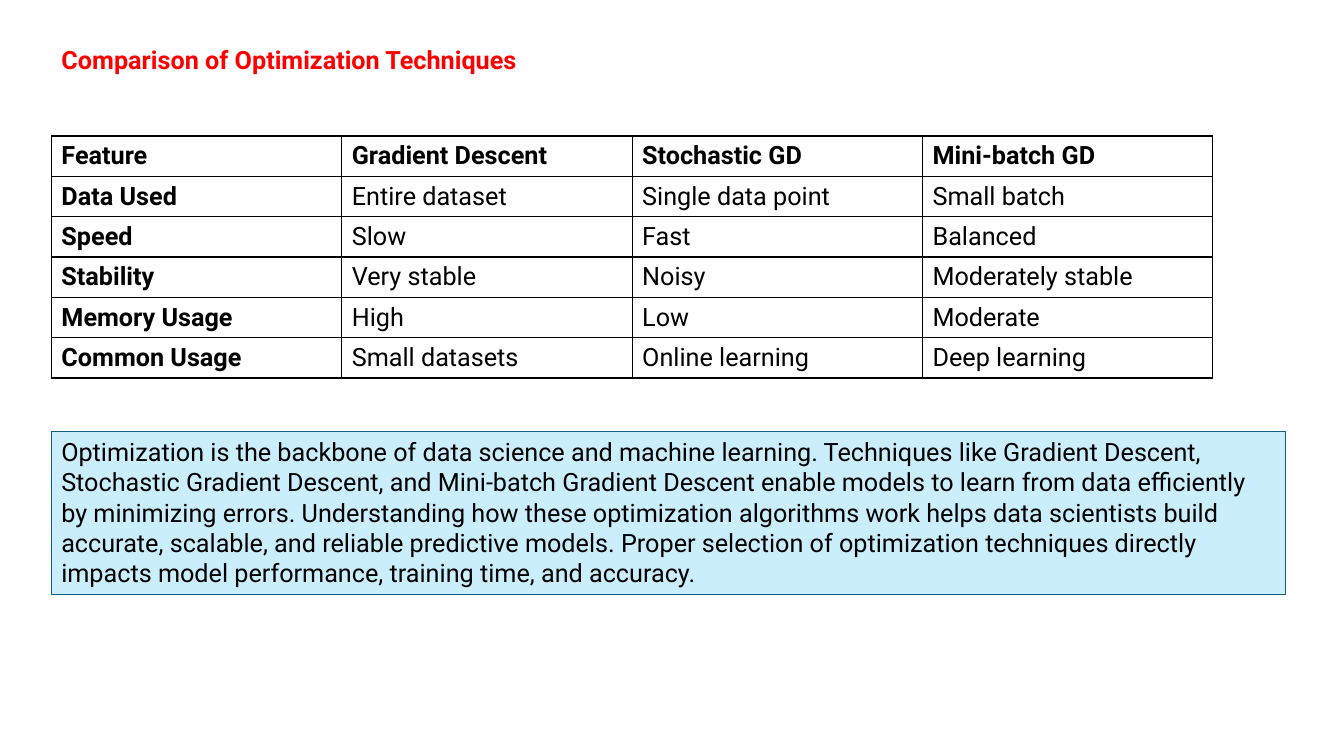
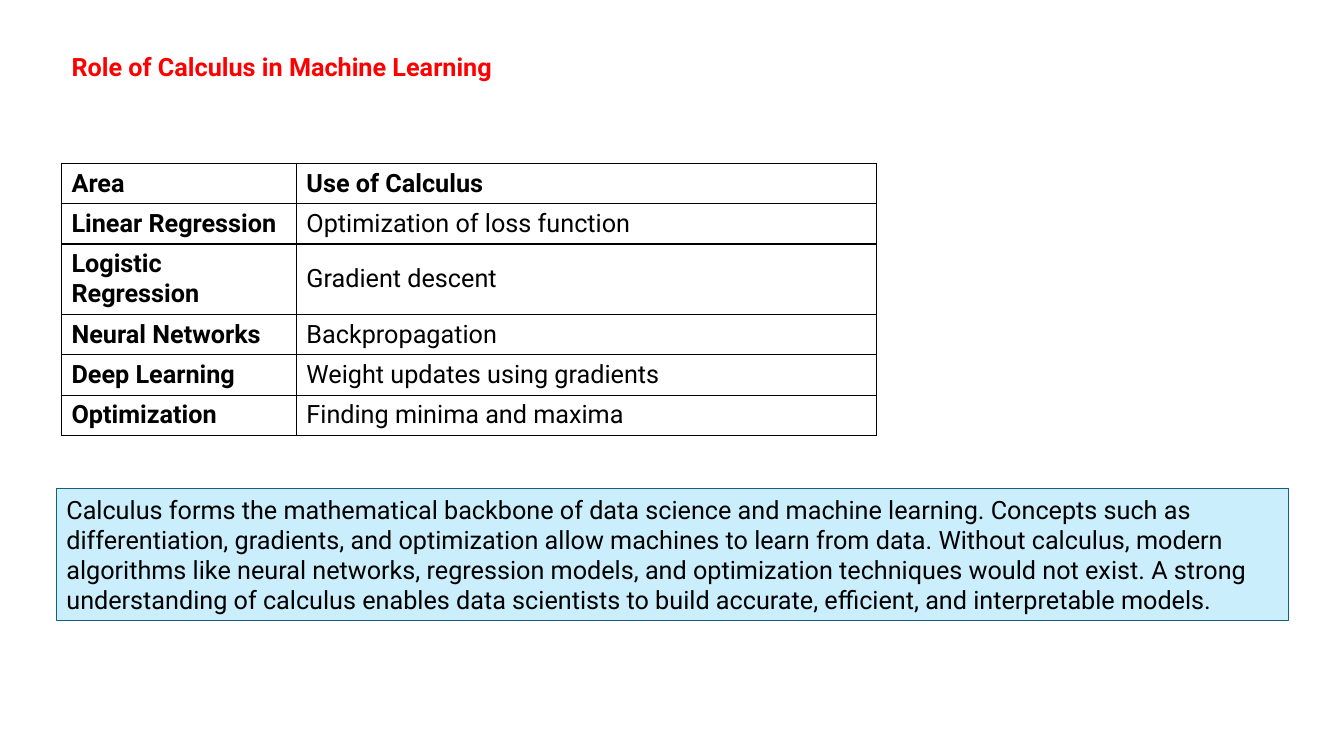
from dataclasses import dataclass

from lxml import etree
from pptx import Presentation
from pptx.dml.color import RGBColor
from pptx.enum.shapes import MSO_SHAPE
from pptx.enum.text import MSO_ANCHOR, MSO_AUTO_SIZE, PP_ALIGN
from pptx.oxml.ns import qn
from pptx.util import Inches, Pt

RECT = MSO_SHAPE.RECTANGLE
TOP, MIDDLE = MSO_ANCHOR.TOP, MSO_ANCHOR.MIDDLE
NO_FIT = MSO_AUTO_SIZE.NONE
LEFT = PP_ALIGN.LEFT


@dataclass(frozen=True)
class Theme:
    font: str = "Roboto"
    size: int = 18
    title: str = "FF0000"
    text: str = "000000"
    panel: str = "CAEEFB"
    panel_line: str = "156082"
    panel_line_width: float = 0.75
    border: str = "000000"
    border_width: float = 1


THEME = Theme()
TITLE_SIZE = (6.67, 0.4)
LINE_H, PAD = 0.3, 0.1  # height of a text line, and padding around a row

# Content: places are in inches; tall_rows maps a row to its number of lines
SLIDES = [
    {
        "title": "Comparison of Optimization Techniques",
        "title_at": (0.51, 0.39),
        "table_at": (0.51, 1.35),
        "columns": [2.88] * 4,
        "tall_rows": {},
        "rows": [
            ("Feature", "Gradient Descent", "Stochastic GD", "Mini-batch GD"),
            ("Data Used", "Entire dataset", "Single data point", "Small batch"),
            ("Speed", "Slow", "Fast", "Balanced"),
            ("Stability", "Very stable", "Noisy", "Moderately stable"),
            ("Memory Usage", "High", "Low", "Moderate"),
            ("Common Usage", "Small datasets", "Online learning", "Deep learning"),
        ],
        "summary_at": (0.51, 4.28, 12.24, 1.62),
        "summary": (
            "Optimization is the backbone of data science and machine learning. "
            "Techniques like Gradient Descent, Stochastic Gradient Descent, and "
            "Mini-batch Gradient Descent enable models to learn from data efficiently "
            "by minimizing errors. Understanding how these optimization algorithms "
            "work helps data scientists build accurate, scalable, and reliable "
            "predictive models. Proper selection of optimization techniques directly "
            "impacts model performance, training time, and accuracy."
        ),
    },
    {
        "title": "Role of Calculus in Machine Learning",
        "title_at": (0.61, 0.46),
        "table_at": (0.61, 1.62),
        "columns": [2.33, 5.75],
        "tall_rows": {2: 2},
        "rows": [
            ("Area", "Use of Calculus"),
            ("Linear Regression", "Optimization of loss function"),
            ("Logistic Regression", "Gradient descent"),
            ("Neural Networks", "Backpropagation"),
            ("Deep Learning", "Weight updates using gradients"),
            ("Optimization", "Finding minima and maxima"),
        ],
        "summary_at": (0.56, 4.85, 12.22, 1.31),
        "summary": (
            "Calculus forms the mathematical backbone of data science and machine "
            "learning. Concepts such as differentiation, gradients, and optimization "
            "allow machines to learn from data. Without calculus, modern algorithms "
            "like neural networks, regression models, and optimization techniques "
            "would not exist. A strong understanding of calculus enables data "
            "scientists to build accurate, efficient, and interpretable models."
        ),
    },
]


def write(tf, text, color=THEME.text, bold=False):
    tf.text = text
    p = tf.paragraphs[0]
    p.alignment = LEFT
    font = p.runs[0].font
    font.name, font.size, font.bold = THEME.font, Pt(THEME.size), bold
    font.color.rgb = RGBColor.from_string(color)


def add_borders(cell):
    tcPr = cell._tc.get_or_add_tcPr()
    for i, side in enumerate(("a:lnL", "a:lnR", "a:lnT", "a:lnB")):
        ln = etree.Element(qn(side), w=str(Pt(THEME.border_width)))
        fill = etree.SubElement(ln, qn("a:solidFill"))
        etree.SubElement(fill, qn("a:srgbClr"), val=THEME.border)
        tcPr.insert(i, ln)  # borders come before the fill


def add_title(slide, text, at):
    sp = slide.shapes.title
    sp.left, sp.top, sp.width, sp.height = map(Inches, at + TITLE_SIZE)
    tf = sp.text_frame
    tf.word_wrap, tf.auto_size, tf.vertical_anchor = True, NO_FIT, TOP
    write(tf, text, THEME.title, bold=True)


def add_grid(slide, rows, at, columns, tall_rows):
    heights = [LINE_H * tall_rows.get(r, 1) + PAD for r in range(len(rows))]
    size = (sum(columns), sum(heights))
    table = slide.shapes.add_table(
        len(rows), len(columns), *map(Inches, at + size)).table
    table.first_row = table.horz_banding = False
    for column, width in zip(table.columns, columns):
        column.width = Inches(width)
    for r, (row, height) in enumerate(zip(rows, heights)):
        table.rows[r].height = Inches(height)
        for c, text in enumerate(row):
            cell = table.cell(r, c)
            cell.vertical_anchor = MIDDLE
            cell.fill.background()
            write(cell.text_frame, text, bold=r == 0 or c == 0)
            add_borders(cell)


def add_summary(slide, text, at):
    sp = slide.shapes.add_shape(RECT, *map(Inches, at))
    sp.shadow.inherit = False
    sp.fill.solid()
    sp.fill.fore_color.rgb = RGBColor.from_string(THEME.panel)
    sp.line.color.rgb = RGBColor.from_string(THEME.panel_line)
    sp.line.width = Pt(THEME.panel_line_width)
    tf = sp.text_frame
    tf.word_wrap, tf.vertical_anchor = True, TOP
    write(tf, text)


def main():
    prs = Presentation()
    prs.slide_width, prs.slide_height = Inches(13.33), Inches(7.5)
    title_only = prs.slide_layouts[5]
    for item in SLIDES:
        slide = prs.slides.add_slide(title_only)
        add_title(slide, item["title"], item["title_at"])
        add_grid(slide, item["rows"], item["table_at"],
                 item["columns"], item["tall_rows"])
        add_summary(slide, item["summary"], item["summary_at"])
    prs.save("out.pptx")


if __name__ == "__main__":
    main()
